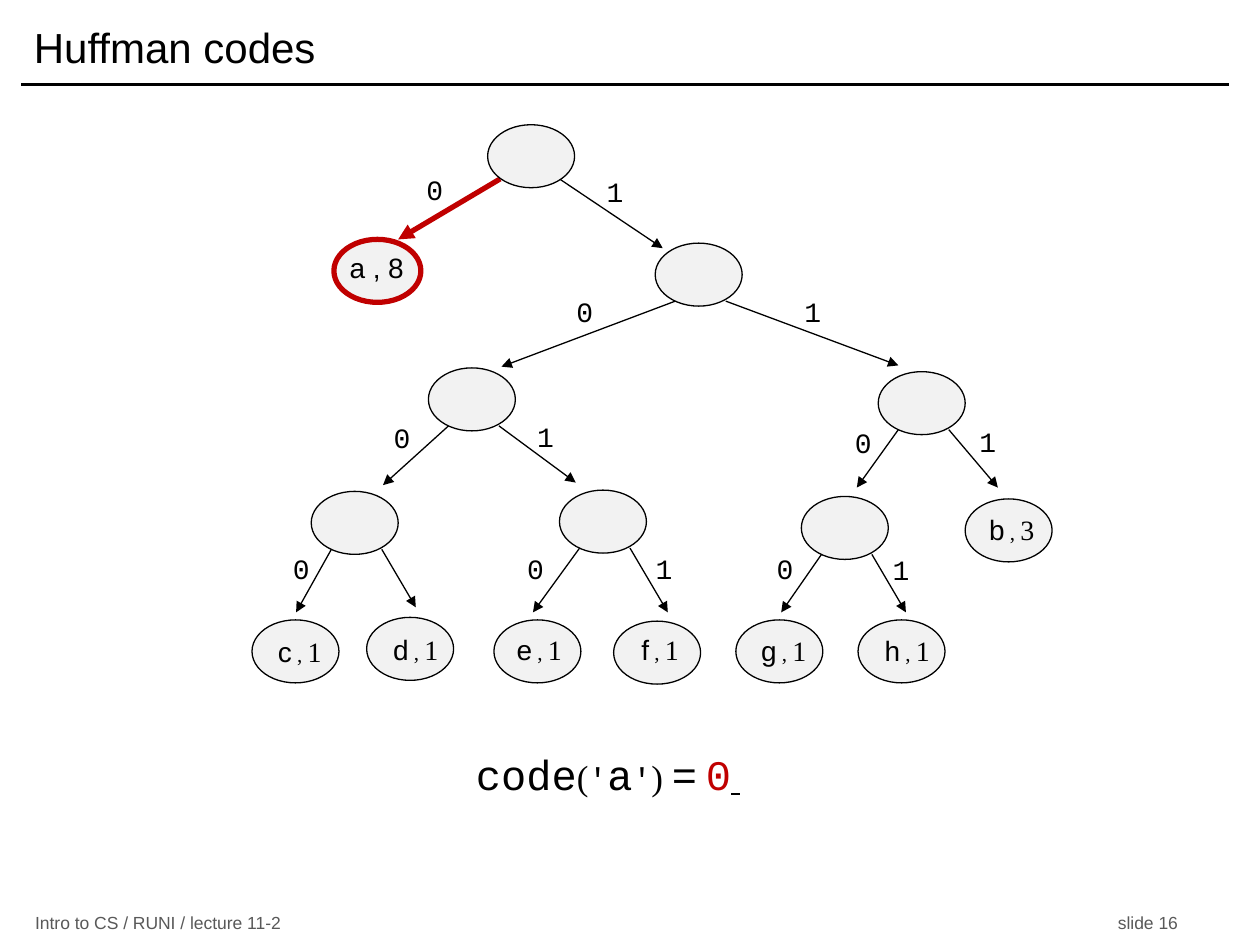
from lxml.etree import SubElement
from pptx import Presentation
from pptx.dml.color import RGBColor
from pptx.enum.shapes import MSO_CONNECTOR, MSO_SHAPE
from pptx.enum.text import MSO_ANCHOR, PP_ALIGN
from pptx.oxml.ns import qn
from pptx.util import Inches, Pt

BLACK, RED, GRAY, NODE_FILL = "000000", "C00000", "595959", "F2F2F2"
SANS, MONO, SERIF = "Arial", "Courier New", "Times New Roman"
NODE_W, NODE_H = 0.69, 0.5
LABEL_H = 0.37
BIT_W = 0.32
LEAF_W = 0.6

# Inner nodes: left, top, then (bit, arrow end, bit label position) per branch
INNER_NODES = [
    (3.87, 0.99, [("0", (3.16, 1.9), (3.29, 1.32)), ("1", (5.26, 1.97), (4.72, 1.34))]),
    (5.2, 1.93, [("0", (3.98, 2.91), (4.48, 2.29)), ("1", (7.13, 2.9), (6.29, 2.29))]),
    (3.4, 2.92, [("0", (3.04, 3.85), (3.03, 3.29)), ("1", (4.57, 3.83), (4.17, 3.28))]),
    (6.97, 2.95, [("0", (6.8, 3.87), (6.69, 3.33)), ("1", (7.92, 3.87), (7.68, 3.32))]),
    (2.47, 3.9, [("0", (2.35, 4.86), (2.23, 4.33)), ("", (3.3, 4.82), None)]),
    (4.44, 3.89, [("0", (4.23, 4.86), (4.09, 4.33)), ("1", (5.3, 4.86), (5.11, 4.33))]),
    (6.36, 3.94, [("0", (6.2, 4.86), (6.07, 4.33)), ("1", (7.19, 4.86), (6.99, 4.34))]),
]
# Where the two branches leave a node, measured from its left top corner
ROOT_EXITS = [(0.1, 0.43), (0.57, 0.43)]
EXITS = [(0.16, 0.46), (0.56, 0.46)]

# Leaves: letter, count, node left and top, label centre and top
LEAVES = [
    ("c", "1", 2, 4.92, 2.38, 4.99),
    ("d", "1", 2.91, 4.9, 3.3, 4.97),
    ("e", "1", 3.92, 4.92, 4.28, 4.97),
    ("f", "1", 4.87, 4.93, 5.24, 4.97),
    ("g", "1", 5.84, 4.92, 6.22, 4.98),
    ("h", "1", 6.81, 4.92, 7.2, 4.98),
    ("b", "3", 7.66, 3.96, 8.03, 4.02),
]
# Runs of the result: text, size, font, colour, underline
RESULT = [
    ("code", 24, MONO, BLACK, False),
    ("(", 20, SERIF, BLACK, False),
    ("'", 18, MONO, BLACK, False),
    ("a", 24, MONO, BLACK, False),
    ("'", 18, MONO, BLACK, False),
    (") ", 20, SERIF, BLACK, False),
    ("=", 24, MONO, BLACK, False),
    (" ", 20, SERIF, BLACK, False),
    ("0", 24, MONO, RED, False),
    (" ", 20, SERIF, BLACK, True),
]


def rgb(color):
    return RGBColor.from_string(color)


def add_text(slide, runs, left, top, width, height, size=16, font=SANS, color=BLACK,
             align=PP_ALIGN.CENTER, anchor=MSO_ANCHOR.TOP, inset=0.1, wrap=True, right_tab=None):
    """Runs are a string, or tuples of text, size, font, colour and underline."""
    box = slide.shapes.add_textbox(Inches(left), Inches(top), Inches(width), Inches(height))
    frame = box.text_frame
    frame.word_wrap = wrap
    frame.vertical_anchor = anchor
    frame.margin_left = frame.margin_right = Inches(inset)
    paragraph = frame.paragraphs[0]
    paragraph.alignment = align
    if right_tab:
        tabs = SubElement(paragraph._p.get_or_add_pPr(), qn("a:tabLst"))
        SubElement(tabs, qn("a:tab"), pos=str(Inches(right_tab)), algn="r")
    if isinstance(runs, str):
        runs = [(runs, size, font, color, False)]
    for text, run_size, run_font, run_color, underline in runs:
        run = paragraph.add_run()
        run.text = text
        run.font.size = Pt(run_size)
        run.font.name = run_font
        run.font.color.rgb = rgb(run_color)
        if underline:
            run.font.underline = True


def add_line(slide, start, end, color=BLACK, width=0.75, arrow=True):
    line = slide.shapes.add_connector(
        MSO_CONNECTOR.STRAIGHT, *[Inches(value) for value in (*start, *end)])
    line.line.color.rgb = rgb(color)
    line.line.width = Pt(width)
    if arrow:
        SubElement(line.line._get_or_add_ln(), qn("a:tailEnd"), type="triangle")
    SubElement(line._element.spPr, qn("a:effectLst"))


def add_node(slide, left, top, color=BLACK, width=0.75):
    node = slide.shapes.add_shape(
        MSO_SHAPE.OVAL, Inches(left), Inches(top), Inches(NODE_W), Inches(NODE_H))
    node.shadow.inherit = False
    node.fill.solid()
    node.fill.fore_color.rgb = rgb(NODE_FILL)
    node.line.color.rgb = rgb(color)
    node.line.width = Pt(width)


def main():
    prs = Presentation()
    prs.slide_width, prs.slide_height = Inches(10), Inches(7.5)
    slide = prs.slides.add_slide(prs.slide_layouts[6])

    # Title, rule and footer
    add_line(slide, (0.17, 0.67), (9.75, 0.67), width=2, arrow=False)
    add_text(slide, "Intro to CS / RUNI / lecture 11-2\tslide 16", 0.18, 7.23, 9.42, 0.19,
             size=10, color=GRAY, align=PP_ALIGN.LEFT, anchor=MSO_ANCHOR.MIDDLE, right_tab=9.07)
    add_text(slide, "Huffman codes", 0.17, 0.08, 9.58, 0.58, size=24,
             align=PP_ALIGN.LEFT, anchor=MSO_ANCHOR.MIDDLE)

    # Inner nodes with their branches; the path to "a" is highlighted
    for index, (left, top, branches) in enumerate(INNER_NODES):
        exits = EXITS if index else ROOT_EXITS
        for (bit, end, bit_at), (dx, dy) in zip(branches, exits):
            highlight = index == 0 and bit == "0"
            add_line(slide, (left + dx, top + dy), end,
                     color=RED if highlight else BLACK, width=3 if highlight else 0.75)
            if bit:
                add_text(slide, bit, *bit_at, BIT_W, LABEL_H, font=MONO, inset=0)
        add_node(slide, left, top)

    # Leaves
    for letter, count, left, top, label_x, label_top in LEAVES:
        add_node(slide, left, top)
        label = [(letter, 16, SANS, BLACK, False), (" , ", 12, SERIF, BLACK, False),
                 (count, 16, SERIF, BLACK, False)]
        add_text(slide, label, label_x - LEAF_W / 2, label_top, LEAF_W, LABEL_H, wrap=False)
    add_node(slide, 2.65, 1.9, color=RED, width=3)
    add_text(slide, "a , 8", 2.67, 1.94, 0.64, LABEL_H, wrap=False)

    # Resulting code
    add_text(slide, RESULT, 2.41, 5.89, 4.83, 0.51, inset=0)

    prs.save("out.pptx")


if __name__ == "__main__":
    main()
